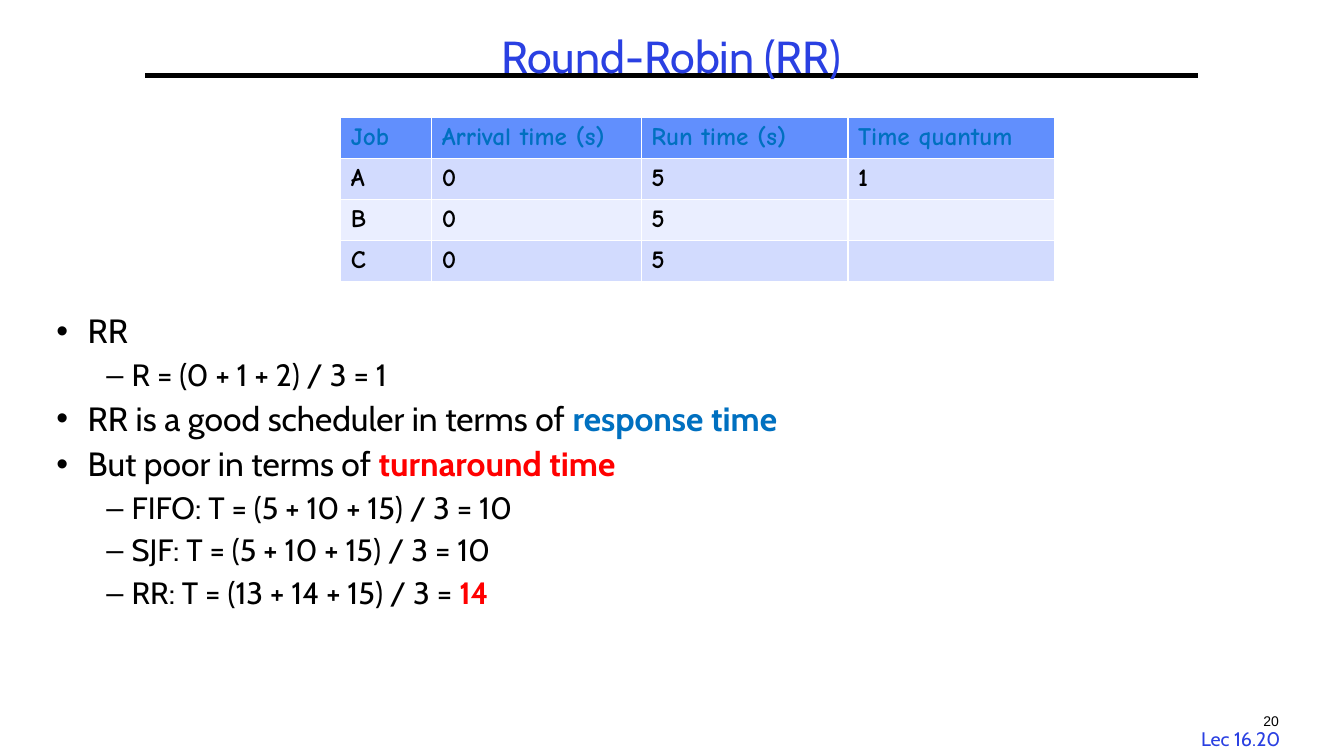
from pptx import Presentation
from pptx.dml.color import RGBColor
from pptx.enum.shapes import MSO_CONNECTOR
from pptx.enum.text import MSO_ANCHOR, MSO_AUTO_SIZE, PP_ALIGN
from pptx.oxml.ns import qn
from pptx.util import Cm, Pt
from lxml.etree import SubElement

BLUE, BLACK, ACCENT, RED = "2A40E2", "000000", "0070C0", "FF0000"


def rgb(color):
    return RGBColor.from_string(color)


def add_run(p, text, size, color, font="Cabin", bold=False):
    r = p.add_run()
    r.text = text
    r.font.size = Pt(size)
    r.font.name = font
    r.font.bold = bold
    r.font.color.rgb = rgb(color)


prs = Presentation()
prs.slide_width, prs.slide_height = Cm(33.87), Cm(19.05)
s = prs.slides.add_slide(prs.slide_layouts[5])

# Title
title = s.shapes.title
title.left, title.top, title.width, title.height = Cm(1.17), Cm(0.76), Cm(31.5), Cm(1.47)
tf = title.text_frame
tf.auto_size = MSO_AUTO_SIZE.NONE
tf.vertical_anchor = MSO_ANCHOR.MIDDLE
p = tf.paragraphs[0]
p.alignment = PP_ALIGN.CENTER
p.line_spacing = 0.9
add_run(p, "Round-Robin (RR)", 32, BLUE)

# Rule behind the title
rule = s.shapes.add_connector(MSO_CONNECTOR.STRAIGHT, Cm(3.66), Cm(1.9), Cm(30.2), Cm(1.9))
rule.line.color.rgb = rgb(BLACK)
rule.line.width = Pt(3)
SubElement(rule._element.spPr, qn("a:effectLst"))
title._element.addprevious(rule._element)

# Footer: page number and lecture number
for text, left, top, width, size, color, font in [
    ("20", 31.4, 17.83, 1.27, 10, BLACK, "Arial"),
    ("Lec 16.20", 29.9, 18.19, 2.74, 14, BLUE, "Cabin"),
]:
    tf = s.shapes.add_textbox(Cm(left), Cm(top), Cm(width), Cm(0.84)).text_frame
    p = tf.paragraphs[0]
    p.alignment = PP_ALIGN.CENTER
    add_run(p, text, size, color, font)

# Job table; the default table style supplies the white borders
rows = [
    ["Job", "Arrival time (s)", "Run time (s)", "Time quantum"],
    ["A", "0", "5", "1"],
    ["B", "0", "5", ""],
    ["C", "0", "5", ""],
]
table = s.shapes.add_table(4, 4, Cm(8.59), Cm(2.97), Cm(17.99), Cm(4.12)).table
for column, width in zip(table.columns, [2.29, 5.28, 5.21, 5.21]):
    column.width = Cm(width)
for i, row in enumerate(rows):
    table.rows[i].height = Cm(1.03)
    for j, text in enumerate(row):
        cell = table.cell(i, j)
        cell.fill.solid()
        cell.fill.fore_color.rgb = rgb(["618FFD", "D2DBFE", "EAEEFF", "D2DBFE"][i])
        if text:
            add_run(cell.text_frame.paragraphs[0], text, 18,
                    BLACK if i else ACCENT, "Comic Neue", bold=True)

# Bulleted text: level, then runs of text, colour and weight
bullets = [
    (0, [("RR", BLACK, False)]),
    (1, [("R = (0 + 1 + 2) / 3 = 1", BLACK, False)]),
    (0, [("RR is a good scheduler in terms of ", BLACK, False), ("response time", ACCENT, True)]),
    (0, [("But poor in terms of ", BLACK, False), ("turnaround time", RED, True)]),
    (1, [("FIFO: T = (5 + 10 + 15) / 3 = 10", BLACK, False)]),
    (1, [("SJF: T = (5 + 10 + 15) / 3 = 10", BLACK, False)]),
    (1, [("RR: T = (13 + 14 + 15) / 3 = ", BLACK, False), ("14", RED, True)]),
]
tf = s.shapes.add_textbox(Cm(1.17), Cm(7.8), Cm(31.5), Cm(9.45)).text_frame
tf.word_wrap = True
for i, (level, runs) in enumerate(bullets):
    p = tf.add_paragraph() if i else tf.paragraphs[0]
    p.level = level
    p.line_spacing = 0.9
    if i:
        p.space_before = Pt(6.5)
    pPr = p._p.get_or_add_pPr()
    pPr.set("marL", str(Cm([0.79, 1.9][level])))
    pPr.set("indent", str(-Cm([0.79, 0.64][level])))
    SubElement(pPr, qn("a:buFont")).set("typeface", "Arial")
    SubElement(pPr, qn("a:buChar")).set("char", "•–"[level])
    for text, color, bold in runs:
        add_run(p, text, [24, 22][level], color, bold=bold)

prs.save("out.pptx")
